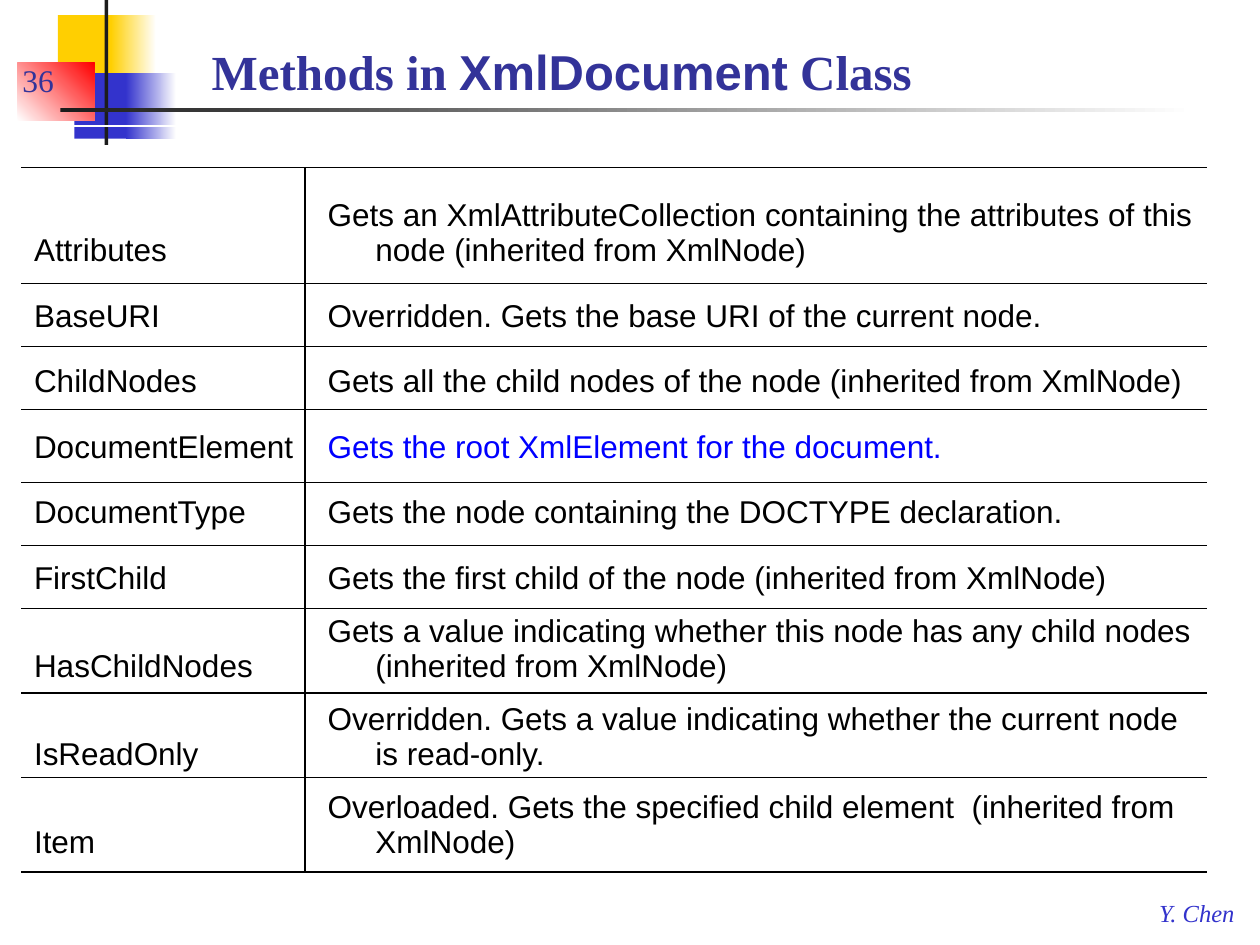
from dataclasses import dataclass
from pptx import Presentation
from pptx.dml.color import RGBColor
from pptx.enum.shapes import MSO_CONNECTOR as Conn, MSO_SHAPE as Shape
from pptx.enum.text import MSO_ANCHOR as Anchor, MSO_AUTO_SIZE as Auto, PP_ALIGN as Align
from pptx.oxml.ns import qn
from pptx.util import Inches, Pt
from lxml.etree import SubElement


@dataclass(frozen=True)
class Theme:
    gold: str = "FFCF01"
    blue: str = "3333CC"
    navy: str = "333399"
    red: str = "FF0000"
    dark: str = "1C1C1C"
    white: str = "FFFFFF"
    black: str = "000000"
    link: str = "0000FF"
    sans: str = "Arial"
    serif: str = "Times New Roman"
    head: int = 28
    text: int = 18
    foot: int = 14


THEME = Theme()

BLOCKS = [
    ((0.46, 0.12, 0.48, 0.52), THEME.gold, None, 0),
    ((0.88, 0.12, 0.36, 0.52), THEME.gold, THEME.white, 0),
    ((0.59, 0.58, 0.46, 0.52), THEME.blue, None, 0),
    ((1, 0.58, 0.4, 0.52), THEME.blue, THEME.white, 0),
    ((0.14, 0.5, 0.61, 0.46), THEME.white, THEME.red, 45),
    ((0.83, 0, 0.03, 1.15), THEME.dark, None, 0),
    ((0.48, 0.86, 9, 0.03), THEME.dark, THEME.white, 0),
]

METHODS = [
    ("Attributes", "Gets an XmlAttributeCollection containing the attributes of this node (inherited from XmlNode)"),
    ("BaseURI", "Overridden. Gets the base URI of the current node."),
    ("ChildNodes", "Gets all the child nodes of the node (inherited from XmlNode)"),
    ("DocumentElement", "Gets the root XmlElement for the document."),
    ("DocumentType", "Gets the node containing the DOCTYPE declaration."),
    ("FirstChild", "Gets the first child of the node (inherited from XmlNode)"),
    ("HasChildNodes", "Gets a value indicating whether this node has any child nodes (inherited from XmlNode)"),
    ("IsReadOnly", "Overridden. Gets a value indicating whether the current node is read-only."),
    ("Item", "Overloaded. Gets the specified child element  (inherited from XmlNode)"),
]
MARKED = "DocumentElement"
WIDTHS = [2.33, 7.08]
HEIGHTS = [1.18] + [0.52] * 5 + [0.7] * 3
RULES = [1.33, 2.25, 2.75, 3.25, 3.83, 4.33, 4.83, 5.5, 6.17, 6.92]
LEFT, RIGHT, SPLIT = 0.17, 9.58, 2.42


def style(font, size, face, color):
    font.size = Pt(size)
    font.name = face
    font.color.rgb = RGBColor.from_string(color)


def add_block(slide, box, start, end, angle):
    block = slide.shapes.add_shape(Shape.RECTANGLE, *map(Inches, box))
    block.shadow.inherit = False
    block.line.fill.background()
    if end is None:
        block.fill.solid()
        block.fill.fore_color.rgb = RGBColor.from_string(start)
        return
    block.fill.gradient()
    block.fill.gradient_angle = angle
    for stop, color in zip(block.fill.gradient_stops, (start, end)):
        stop.color.rgb = RGBColor.from_string(color)


def add_label(slide, box, text, size, color, wrap=True, italic=False):
    frame = slide.shapes.add_textbox(*map(Inches, box)).text_frame
    frame.word_wrap = wrap
    frame.auto_size = Auto.NONE if wrap else Auto.SHAPE_TO_FIT_TEXT
    frame.vertical_anchor = Anchor.BOTTOM if wrap else Anchor.TOP
    para = frame.paragraphs[0]
    para.text = text
    style(para.font, size, THEME.serif, color)
    para.font.italic = italic


def set_title(slide, box, parts):
    title = slide.shapes.title
    title.left, title.top, title.width, title.height = map(Inches, box)
    frame = title.text_frame
    frame.vertical_anchor = Anchor.BOTTOM
    frame.auto_size = Auto.NONE
    para = frame.paragraphs[0]
    para.alignment = Align.LEFT
    for text, face in parts:
        run = para.add_run()
        run.text = text
        style(run.font, THEME.head, face, THEME.navy)
        run.font.bold = True


def fill_cell(cell, text, color):
    cell.fill.background()
    cell.vertical_anchor = Anchor.BOTTOM
    para = cell.text_frame.paragraphs[0]
    para.text = text
    props = para._p.get_or_add_pPr()
    props.set("marL", str(Inches(0.38)))
    props.set("indent", str(Inches(-0.38)))
    style(para.font, THEME.text, THEME.sans, color)


def add_grid(slide):
    box = (LEFT, 1, sum(WIDTHS), sum(HEIGHTS))
    table = slide.shapes.add_table(len(METHODS), 2, *map(Inches, box)).table
    table.first_row = table.horz_banding = False
    for col, width in zip(table.columns, WIDTHS):
        col.width = Inches(width)
    for row, height, (name, note) in zip(table.rows, HEIGHTS, METHODS):
        row.height = Inches(height)
        fill_cell(row.cells[0], name, THEME.black)
        fill_cell(row.cells[1], note, THEME.link if name == MARKED else THEME.black)


def add_rule(slide, *ends):
    rule = slide.shapes.add_connector(Conn.STRAIGHT, *map(Inches, ends))
    rule.line.width = Pt(0.75)
    rule.line.color.rgb = RGBColor.from_string(THEME.black)
    SubElement(rule._element.spPr, qn("a:effectLst"))


def main():
    deck = Presentation()
    deck.slide_width, deck.slide_height = Inches(10), Inches(7.5)
    slide = deck.slides.add_slide(deck.slide_layouts[5])
    for block in BLOCKS:
        add_block(slide, *block)
    add_label(slide, (9.1, 7.08, 0.82, 0.33), "Y. Chen", THEME.foot, THEME.blue, wrap=False, italic=True)
    add_label(slide, (0.08, 0.33, 2.08, 0.5), "36", THEME.text, THEME.navy)
    set_title(slide, (1.58, 0.17, 8.33, 0.68), [
        ("Methods in ", THEME.serif),
        ("XmlDocument", THEME.sans),
        (" Class", THEME.serif),
    ])
    add_grid(slide)
    for y in RULES:
        add_rule(slide, LEFT, y, RIGHT, y)
    add_rule(slide, SPLIT, RULES[0], SPLIT, RULES[-1])
    deck.save("out.pptx")


if __name__ == "__main__":
    main()
